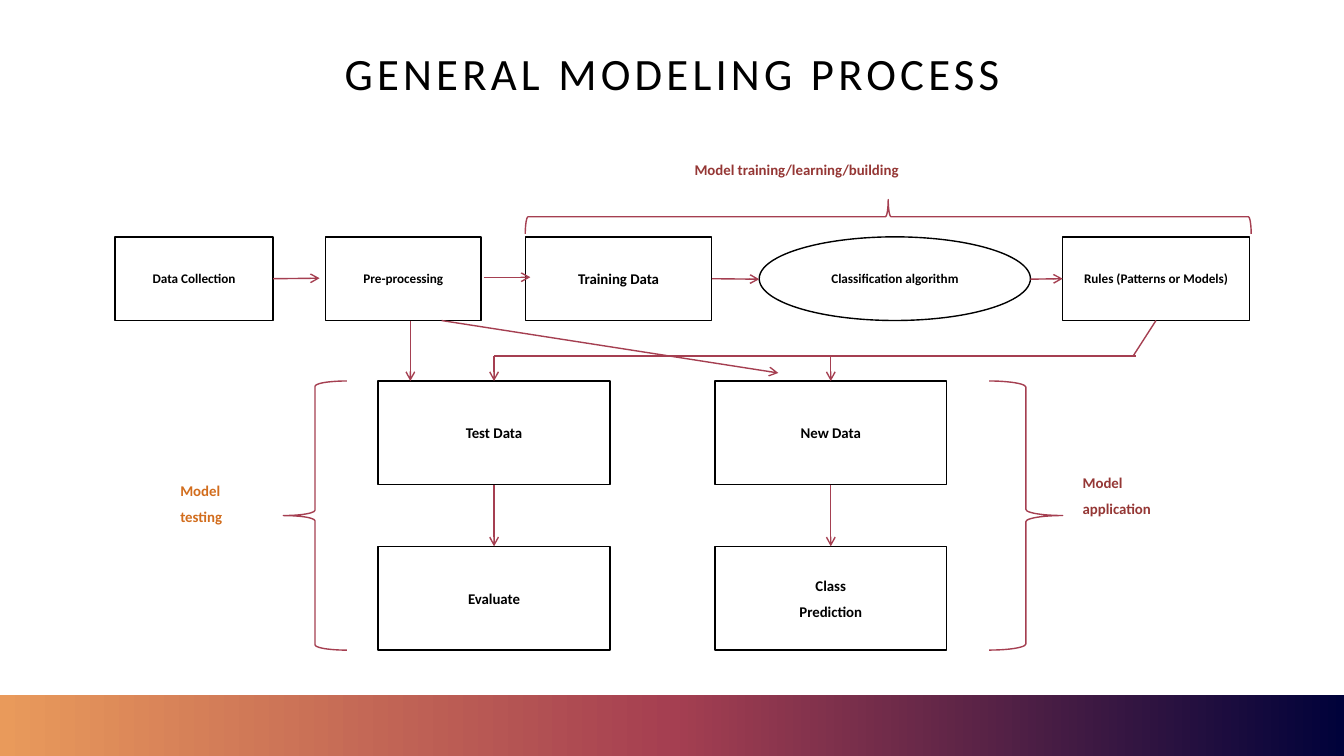
from copy import deepcopy
from dataclasses import dataclass

from lxml import etree
from pptx import Presentation
from pptx.dml.color import RGBColor
from pptx.enum.shapes import MSO_CONNECTOR, MSO_SHAPE
from pptx.enum.text import MSO_ANCHOR, MSO_AUTO_SIZE, PP_ALIGN
from pptx.oxml.ns import qn
from pptx.util import Pt

PX = 9144
RECT, OVAL = MSO_SHAPE.RECTANGLE, MSO_SHAPE.OVAL
LEFT_BRACE, RIGHT_BRACE = MSO_SHAPE.LEFT_BRACE, MSO_SHAPE.RIGHT_BRACE
LINE = MSO_CONNECTOR.STRAIGHT
MIDDLE, TOP = MSO_ANCHOR.MIDDLE, MSO_ANCHOR.TOP
CENTER, LEFT = PP_ALIGN.CENTER, PP_ALIGN.LEFT
FIT, FIXED = MSO_AUTO_SIZE.SHAPE_TO_FIT_TEXT, MSO_AUTO_SIZE.NONE
NORTH, WEST, SOUTH, EAST = range(4)


@dataclass(frozen=True)
class Theme:
    font: str = "Calibri"
    ink: str = "000000"
    wine: str = "A53F51"
    brick: str = "953735"
    rust: str = "D26D1D"
    fade: tuple = ((0, "00023A"), (0.5, "A53F51"), (1, "E99A5B"))
    title: float = 32
    body: float = 10.6
    small: float = 9.4
    after: float = 6
    stroke: float = 1


def adjust(target, values):
    for name, value in values.items():
        setattr(target, name, value)


class Board:
    def __init__(self, slide, theme):
        self.shapes = slide.shapes
        self.theme = theme

    def fill_text(self, shape, text, size, color, align, frame, para, bold=True):
        body = shape.text_frame
        adjust(body, frame)
        body.text = text
        for item in body.paragraphs:
            adjust(item, {"alignment": align, **para})
            for run in item.runs:
                adjust(run.font, {"name": self.theme.font, "size": Pt(size), "bold": bold})
                run.font.color.rgb = RGBColor.from_string(color)

    def stroke(self, shape, color):
        shape.line.width = Pt(self.theme.stroke)
        shape.line.color.rgb = RGBColor.from_string(color)

    def shape(self, kind, box, color):
        item = self.shapes.add_shape(kind, *(n * PX for n in box))
        item.shadow.inherit = False
        item.fill.background()
        self.stroke(item, color)
        return item

    def node(self, text, box, size, kind=RECT):
        item = self.shape(kind, box, self.theme.ink)
        self.fill_text(item, text, size, self.theme.ink, CENTER,
                       {"word_wrap": True, "vertical_anchor": MIDDLE},
                       {"space_after": Pt(self.theme.after)})
        return item

    def brace(self, kind, box, turn=0):
        self.shape(kind, box, self.theme.wine).rotation = turn

    def label(self, text, box, color):
        item = self.shapes.add_textbox(*(n * PX for n in box))
        self.fill_text(item, text, self.theme.body, color, LEFT,
                       {"word_wrap": False, "auto_size": FIT, "vertical_anchor": TOP},
                       {"space_after": Pt(self.theme.after)})

    def title(self, text, box):
        item = self.shapes.add_textbox(*(n * PX for n in box))
        self.fill_text(item, text, self.theme.title, self.theme.ink, CENTER,
                       {"word_wrap": True, "auto_size": FIXED, "vertical_anchor": MIDDLE},
                       {"line_spacing": 0.9}, bold=False)
        run = item.text_frame.paragraphs[0].runs[0]
        run.font._element.set("spc", "300")

    def band(self, box):
        item = self.shape(RECT, box, self.theme.ink)
        item.line.fill.background()
        item.fill.gradient()
        item.fill.gradient_angle = 180
        stops = item._element.spPr.find(qn("a:gradFill")).find(qn("a:gsLst"))
        stops.append(deepcopy(stops[0]))
        for stop, (place, color) in zip(item.fill.gradient_stops, self.theme.fade):
            stop.position = place
            stop.color.rgb = RGBColor.from_string(color)

    def link(self, start, end, head=True):
        ends = [p if isinstance(p[0], int) else (0, 0) for p in (start, end)]
        item = self.shapes.add_connector(LINE, *(n * PX for p in ends for n in p))
        for point, join in ((start, item.begin_connect), (end, item.end_connect)):
            if not isinstance(point[0], int):
                join(*point)
        self.stroke(item, self.theme.wine)
        if head:
            etree.SubElement(item.line._get_or_add_ln(), qn("a:tailEnd"), type="arrow")
        etree.SubElement(item._element.spPr, qn("a:effectLst"))


def main():
    deck = Presentation()
    deck.slide_width, deck.slide_height = 1333 * PX, 750 * PX
    theme = Theme()
    board = Board(deck.slides.add_slide(deck.slide_layouts[6]), theme)

    board.band((0, 689, 1333, 61))
    board.title("GENERAL MODELING PROCESS", (92, 40, 1150, 71))

    flow = [
        ("Data Collection", 114, 157, theme.small, RECT),
        ("Pre-processing", 323, 154, theme.small, RECT),
        ("Training Data", 521, 185, theme.body, RECT),
        ("Classification algorithm", 753, 269, theme.small, OVAL),
        ("Rules (Patterns or Models)", 1054, 185, theme.small, RECT),
    ]
    source, _, train, _, rules = [
        board.node(text, (x, 235, width, 83), size, kind)
        for text, x, width, size, kind in flow
    ]

    board.link((source, EAST), (317, 276))
    board.link((480, 275), (526, 275))
    board.link((train, EAST), (753, 277))
    board.link((1022, 277), (rules, WEST))

    board.link((490, 353), (1127, 353), head=False)
    board.link((rules, SOUTH), (1124, 353), head=False)
    for x, upper, lower in ((375, "Test Data", "Evaluate"),
                            (709, "New Data", "Class\nPrediction")):
        data, result = [board.node(text, (x, y, 230, 103), theme.body)
                        for text, y in ((upper, 378), (lower, 542))]
        board.link((x + 115, 353), (data, NORTH))
        board.link((data, SOUTH), (result, NORTH))
    board.link((407, 318), (407, 378))
    board.link((438, 318), (772, 370))

    board.brace(RIGHT_BRACE, (864, -145, 34, 720), 270)
    board.brace(LEFT_BRACE, (281, 378, 63, 267))
    board.brace(RIGHT_BRACE, (981, 378, 73, 267))
    board.label("Model training/learning/building", (679, 154, 226, 28), theme.brick)
    board.label("Model\ntesting", (169, 473, 64, 54), theme.rust)
    board.label("Model\napplication", (1064, 465, 90, 54), theme.brick)

    deck.save("out.pptx")


if __name__ == "__main__":
    main()
